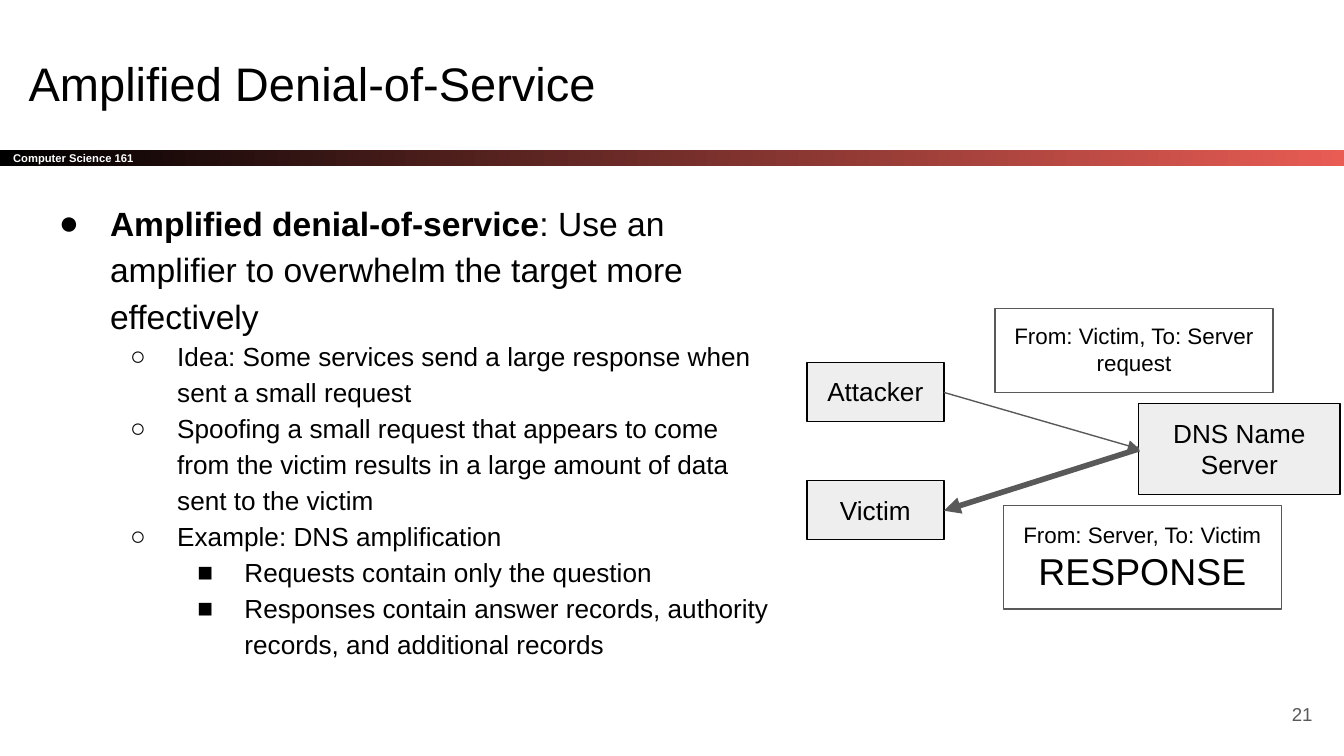
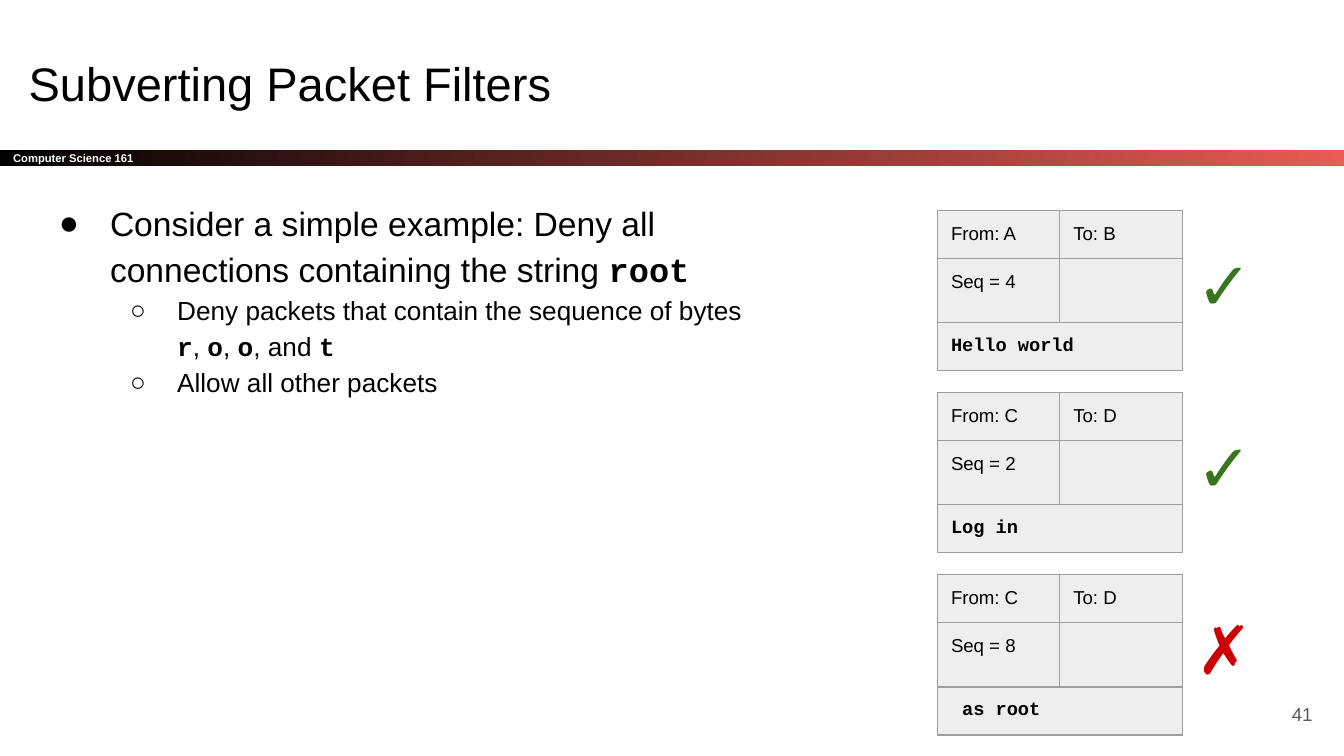
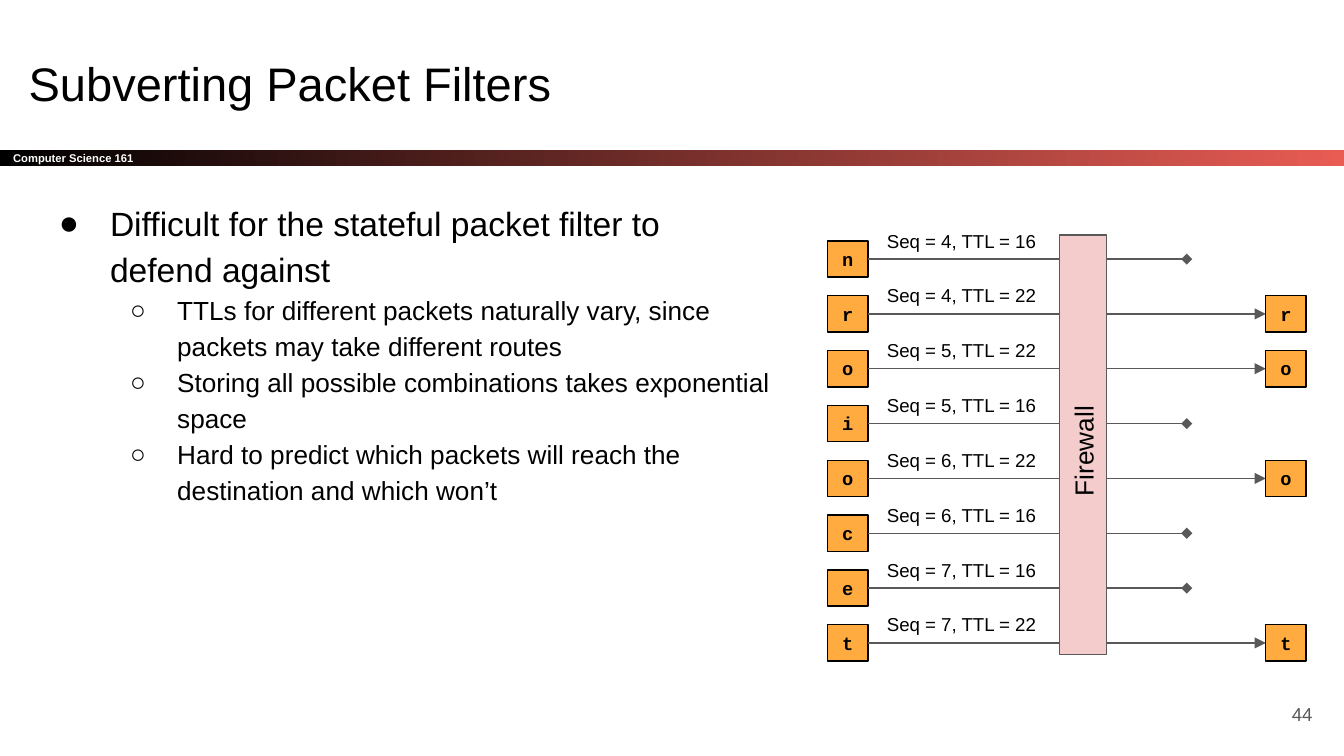
from dataclasses import dataclass

from lxml import etree
from pptx import Presentation
from pptx.dml.color import RGBColor
from pptx.enum.shapes import MSO_CONNECTOR, MSO_SHAPE
from pptx.enum.text import MSO_ANCHOR, MSO_AUTO_SIZE, PP_ALIGN
from pptx.oxml.ns import qn
from pptx.util import Emu, Inches, Pt

RECT = MSO_SHAPE.RECTANGLE
STRAIGHT = MSO_CONNECTOR.STRAIGHT
TOP, MIDDLE = MSO_ANCHOR.TOP, MSO_ANCHOR.MIDDLE
LEFT, CENTER, RIGHT = PP_ALIGN.LEFT, PP_ALIGN.CENTER, PP_ALIGN.RIGHT
TITLE_ONLY = 5
COLUMNS, ROWS = 100, 56.25
CELL = Inches(10) / COLUMNS


@dataclass(frozen=True)
class Theme:
    sans: str = "Arial"
    mono: str = "Courier New"
    ink: str = "000000"
    paper: str = "FFFFFF"
    gray: str = "595959"
    panel: str = "EEEEEE"
    border: str = "9E9E9E"
    accent: str = "E85C54"
    packet: str = "FFAB40"
    firewall: str = "F4CCCC"
    allow: str = "38761D"
    deny: str = "CC0000"
    title: float = 25.2
    lead: float = 18
    body: float = 14
    note: float = 12
    small: float = 10
    tiny: float = 6
    shout: float = 20
    mark: float = 36
    hairline: float = 0.75
    heavy: float = 3


T = Theme()
LEVELS = [("●", 5, 3.8, T.lead), ("○", 10, 3.5, T.body), ("■", 15, 3.5, T.body)]


def grid(*cells):
    return [Emu(round(n * CELL)) for n in cells]


def rgb(color):
    return RGBColor.from_string(color)


def add_xml(parent, tag, **attrs):
    return etree.SubElement(parent, qn(tag), attrs)


def format_run(r, size, color=T.ink, font=T.sans, bold=False):
    r.font.size, r.font.name, r.font.bold = Pt(size), font, bold
    r.font.color.rgb = rgb(color)


def write(sp, text, size, align=LEFT, anchor=TOP, inset=1, **style):
    tf = sp.text_frame
    tf.text = text
    tf.word_wrap = True
    tf.auto_size = MSO_AUTO_SIZE.NONE
    tf.vertical_anchor = anchor
    margin, = grid(inset)
    tf.margin_left = tf.margin_right = tf.margin_top = tf.margin_bottom = margin
    for p in tf.paragraphs:
        p.alignment = align
        for r in p.runs:
            format_run(r, size, **style)
    return tf


def add_label(s, box, text, size, **style):
    return write(s.shapes.add_textbox(*grid(*box)), text, size, **style)


def add_box(s, box, text, size, fill, line=T.ink, **style):
    sp = s.shapes.add_shape(RECT, *grid(*box))
    sp.shadow.inherit = False
    sp.fill.solid()
    sp.fill.fore_color.rgb = rgb(fill)
    sp.line.color.rgb = rgb(line)
    sp.line.width = Pt(T.hairline)
    write(sp, text, size, align=CENTER, **style)
    return sp


def add_arrow(s, start, end, head="triangle", width=T.hairline):
    line = s.shapes.add_connector(STRAIGHT, *grid(*start, *end))
    line.line.color.rgb = rgb(T.gray)
    line.line.width = Pt(width)
    add_xml(line.line._get_or_add_ln(), "a:tailEnd", type=head)
    add_xml(line.element.spPr, "a:effectLst")


def add_bullets(s, items):
    tf = add_label(s, (2.2, 13.65, 56.2, 41.2), "", T.lead)
    for i, (level, *parts) in enumerate(items):
        p = tf.paragraphs[0] if i == 0 else tf.add_paragraph()
        char, indent, hang, size = LEVELS[level]
        p.level = level
        p.line_spacing = 1.15
        pPr = p._p.get_or_add_pPr()
        margin, offset = grid(indent, -hang)
        pPr.set("marL", str(margin))
        pPr.set("indent", str(offset))
        add_xml(add_xml(pPr, "a:buClr"), "a:srgbClr", val=T.ink)
        add_xml(pPr, "a:buFont", typeface=T.sans)
        add_xml(pPr, "a:buChar", char=char)
        for part in parts:
            text, style = part if isinstance(part, tuple) else (part, {})
            r = p.add_run()
            r.text = text
            format_run(r, size, **style)


def bold(text):
    return text, {"bold": True}


def code(text):
    return text, {"bold": True, "font": T.mono}


def format_cell(cell, text, **style):
    cell.fill.solid()
    cell.fill.fore_color.rgb = rgb(T.panel)
    margin, = grid(1)
    cell.margin_left = cell.margin_right = margin
    cell.margin_top = cell.margin_bottom = margin
    cell.text = text
    p = cell.text_frame.paragraphs[0]
    for r in p.runs:
        format_run(r, T.small, **style)
    if not text:
        end = add_xml(p._p, "a:endParaRPr", sz=str(T.lead * 100))
        add_xml(end, "a:latin", typeface=T.sans)
    tcPr = cell._tc.get_or_add_tcPr()
    for i, side in enumerate(("a:lnL", "a:lnR", "a:lnT", "a:lnB")):
        ln = etree.Element(qn(side), w=str(Pt(T.hairline)))
        add_xml(add_xml(ln, "a:solidFill"), "a:srgbClr", val=T.border)
        tcPr.insert(i, ln)


def add_packet_table(s, left, top, header, seq, payload):
    column_width, row_height, frame_size = grid(9.1, 1.2, 32.8)
    frame = s.shapes.add_table(3, 2, *grid(left, top), frame_size, frame_size)
    table = frame.table
    for column in table.columns:
        column.width = column_width
    for row in table.rows:
        row.height = row_height
    frame.width = frame.height = frame_size
    for i, texts in enumerate((header, (seq, ""))):
        for j, text in enumerate(texts):
            format_cell(table.cell(i, j), text)
    table.cell(2, 0).merge(table.cell(2, 1))
    format_cell(table.cell(2, 0), payload, font=T.mono, bold=True)


def add_band(layout, s):
    band = add_box(s, (0, 11.14, COLUMNS, 1.2), "Computer Science 161", T.tiny, T.ink,
                   anchor=MIDDLE, color=T.paper, bold=True)
    band.text_frame.paragraphs[0].alignment = LEFT
    band.line.fill.background()
    band.fill.gradient()
    band.fill.gradient_angle = 0
    for stop, color, position in zip(band.fill.gradient_stops, (T.ink, T.accent), (0, 1)):
        stop.color.rgb = rgb(color)
        stop.position = position
    layout.shapes.element.append(band.element)


def add_slide(prs, title, number, bullets):
    s = prs.slides.add_slide(prs.slide_layouts[TITLE_ONLY])
    sp = s.shapes.title
    sp.left, sp.top, sp.width, sp.height = grid(1.13, 3, 93.2, 6.3)
    write(sp, title, T.title, anchor=MIDDLE)
    add_bullets(s, bullets)
    add_label(s, (92.65, 51, 6, 4.3), number, T.small, align=RIGHT, anchor=MIDDLE, color=T.gray)
    return s


def draw_amplification(s):
    for box, text in (((60.03, 26.97, 10.2, 4.4), "Attacker"),
                      ((84.72, 30.03, 15, 6.75), "DNS Name Server"),
                      ((60.03, 35.77, 10.2, 4.4), "Victim")):
        add_box(s, box, text, T.body, T.panel)
    server = (84.75, 33.4)
    add_arrow(s, (70.23, 29.2), server)
    add_box(s, (74.03, 22.95, 20.7, 6.25), "From: Victim, To: Server\nrequest",
            T.note, T.paper, T.gray)
    add_arrow(s, server, (70.23, 38), width=T.heavy)
    reply = add_box(s, (74.65, 37.62, 20.7, 7.7), "From: Server, To: Victim\nRESPONSE",
                    T.note, T.paper, T.gray, anchor=MIDDLE)
    reply.text_frame.paragraphs[1].runs[0].font.size = Pt(T.shout)


def draw_packet_checks(s):
    packets = [(("From: A", "To: B"), "Seq = 4", "Hello world", True),
               (("From: C", "To: D"), "Seq = 2", "Log in", True),
               (("From: C", "To: D"), "Seq = 8", " as root", False)]
    for i, (header, seq, payload, allowed) in enumerate(packets):
        top = 15.66 + i * 13.55
        add_packet_table(s, 69.76, top, header, seq, payload)
        mark, color = ("✓", T.allow) if allowed else ("✗", T.deny)
        add_label(s, (88.05, top + 1.44, 5.6, 8.1), mark, T.mark, align=CENTER, color=color)


def add_packet(s, left, top, letter):
    add_box(s, (left, top, 3, 2.7), letter, T.small, T.packet, inset=0.5, font=T.mono, bold=True)


def draw_firewall(s):
    sender, receiver, dropped, top, pitch = 61.58, 94.18, 88.3, 17.93, 4.08
    packets = [("n", 4, 16), ("r", 4, 22), ("o", 5, 22), ("i", 5, 16),
               ("o", 6, 22), ("c", 6, 16), ("e", 7, 16), ("t", 7, 22)]
    for i, (letter, seq, ttl) in enumerate(packets):
        y = top + i * pitch
        arrives = ttl == 22
        end, head = (receiver, "triangle") if arrives else (dropped, "diamond")
        add_packet(s, sender, y, letter)
        add_arrow(s, (sender + 3, y + 1.35), (end, y + 1.35), head)
        add_label(s, (65.5, y - 1.35, 13.4, 2.7), f"Seq = {seq}, TTL = {ttl}", T.small, inset=0.5)
        if arrives:
            add_packet(s, receiver, y, letter)
    wall = add_box(s, (65, 31.33, 31.2, 3.5), "Firewall", T.body, T.firewall, T.gray, anchor=MIDDLE)
    wall.text_frame.margin_left = 0
    wall.rotation = 270


def main():
    prs = Presentation()
    prs.slide_width, prs.slide_height = grid(COLUMNS, ROWS)

    s = add_slide(prs, "Amplified Denial-of-Service", "21", [
        (0, bold("Amplified denial-of-service"),
         ": Use an amplifier to overwhelm the target more effectively"),
        (1, "Idea: Some services send a large response when sent a small request"),
        (1, "Spoofing a small request that appears to come from the victim results in "
            "a large amount of data sent to the victim"),
        (1, "Example: DNS amplification"),
        (2, "Requests contain only the question"),
        (2, "Responses contain answer records, authority records, and additional records"),
    ])
    add_band(prs.slide_layouts[TITLE_ONLY], s)
    draw_amplification(s)

    s = add_slide(prs, "Subverting Packet Filters", "41", [
        (0, "Consider a simple example: Deny all connections containing the string ",
         code("root")),
        (1, "Deny packets that contain the sequence of bytes ", code("r"), ", ", code("o"),
         ", ", code("o"), ", and ", code("t")),
        (1, "Allow all other packets"),
    ])
    draw_packet_checks(s)

    s = add_slide(prs, "Subverting Packet Filters", "44", [
        (0, "Difficult for the stateful packet filter to defend against"),
        (1, "TTLs for different packets naturally vary, since packets may take different routes"),
        (1, "Storing all possible combinations takes exponential space"),
        (1, "Hard to predict which packets will reach the destination and which won’t"),
    ])
    draw_firewall(s)

    prs.save("out.pptx")


if __name__ == "__main__":
    main()
